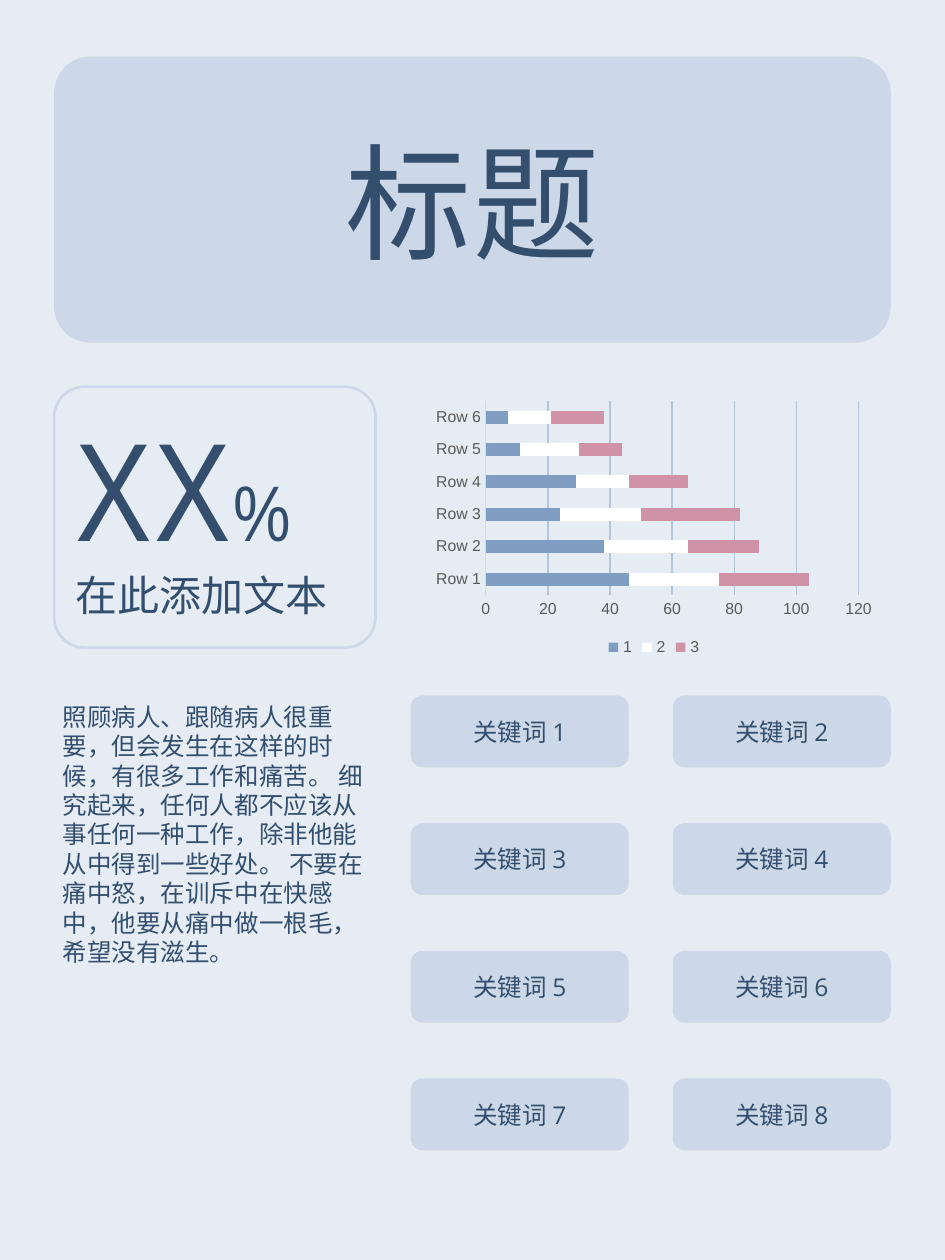
import pptx
import pptx.chart.data
from pptx.dml.color import RGBColor
from pptx.enum.chart import XL_CHART_TYPE, XL_LEGEND_POSITION, XL_TICK_MARK
from pptx.enum.shapes import MSO_SHAPE
from pptx.enum.text import MSO_ANCHOR, MSO_AUTO_SIZE, PP_ALIGN
from pptx.util import Inches, Pt

INK, PANEL, GREY = "344E6D", "CCD8E7", "595959"
NARROW, SANS = "Arial Narrow", "Open Sans"

TITLE = "标题"
STAT = [("XX", 80), ("%", 45)]
STAT_LABEL = "在此添加文本"
BODY = ("照顾病人、跟随病人很重要，但会发生在这样的时候，有很多工作和痛苦。 "
        "细究起来，任何人都不应该从事任何一种工作，除非他能从中得到一些好处。 "
        "不要在痛中怒，在训斥中在快感中，他要从痛中做一根毛，希望没有滋生。")
KEYWORDS = [f"关键词 {n}" for n in range(1, 9)]
CATEGORIES = [f"Row {n}" for n in range(1, 7)]
SERIES = [
    ("1", (46, 38, 24, 29, 11, 7), "809EC2"),
    ("2", (29, 27, 26, 17, 19, 14), "FFFFFF"),
    ("3", (29, 23, 32, 19, 14, 17), "D092A7"),
]

TITLE_BOX = (0.43, 0.45, 6.64, 2.27)
STAT_BOX = (0.43, 3.07, 2.55, 2.07)
CHART_BOX = (3.39, 3.14, 3.6, 2.11)
BODY_BOX = (0.4, 5.52, 2.6, 3.6)
KEY_LEFT, KEY_TOP, KEY_W, KEY_H = 3.26, 5.52, 1.73, 0.57
KEY_DX, KEY_DY = 2.08, (8.56 - 5.52) / 3


def rgb(value):
    return RGBColor.from_string(value)


def box(at):
    return [Inches(v) for v in at]


def add_run(p, text, size, font, spacing=0):
    """Add a run; spacing is the extra width per letter in points."""
    r = p.add_run()
    r.text = text
    r.font.size = Pt(size)
    r.font.name = font
    r.font.color.rgb = rgb(INK)
    if spacing:
        r.font._element.set("spc", str(round(spacing * 100)))


def add_panel(s, at, radius, fill=None, line=None):
    sp = s.shapes.add_shape(MSO_SHAPE.ROUNDED_RECTANGLE, *box(at))
    sp.adjustments[0] = radius
    sp.shadow.inherit = False
    if fill:
        sp.fill.solid()
        sp.fill.fore_color.rgb = rgb(fill)
    else:
        sp.fill.background()
    if line:
        sp.line.color.rgb = rgb(line)
        sp.line.width = Pt(1.5)
    else:
        sp.line.fill.background()
    return sp


def add_title(s):
    panel = add_panel(s, TITLE_BOX, 0.126, fill=PANEL)
    title = s.shapes.title
    panel._element.addnext(title._element)
    title.left, title.top, title.width, title.height = box(TITLE_BOX)
    tf = title.text_frame
    tf.auto_size = MSO_AUTO_SIZE.NONE
    tf.vertical_anchor = MSO_ANCHOR.MIDDLE
    p = tf.paragraphs[0]
    p.alignment = PP_ALIGN.CENTER
    add_run(p, TITLE, 72, NARROW, 1.4)


def add_stat(s):
    tf = add_panel(s, STAT_BOX, 0.116, line=PANEL).text_frame
    tf.vertical_anchor = MSO_ANCHOR.TOP
    p = tf.paragraphs[0]
    p.alignment = PP_ALIGN.LEFT
    for text, size in STAT:
        add_run(p, text, size, NARROW, 1.4)
    p = tf.add_paragraph()
    p.alignment = PP_ALIGN.LEFT
    add_run(p, STAT_LABEL, 24, SANS)


def style_font(font, size, color):
    font.name = "Arial"
    font.size = Pt(size)
    font.color.rgb = rgb(color)


def add_stacked_chart(s):
    data = pptx.chart.data.CategoryChartData()
    data.categories = CATEGORIES
    for name, values, _ in SERIES:
        data.add_series(name, values)
    chart = s.shapes.add_chart(XL_CHART_TYPE.BAR_STACKED, *box(CHART_BOX), data).chart
    style_font(chart.font, 10, "000000")
    chart.has_title = False
    chart.has_legend = True
    chart.legend.position = XL_LEGEND_POSITION.BOTTOM
    chart.legend.include_in_layout = False
    style_font(chart.legend.font, 9, GREY)

    plot = chart.plots[0]
    plot.gap_width, plot.overlap = 150, 100
    plot.vary_by_categories = False
    for series, (_, _, color) in zip(plot.series, SERIES):
        series.format.fill.solid()
        series.format.fill.fore_color.rgb = rgb(color)

    cat, val = chart.category_axis, chart.value_axis
    for axis in (cat, val):
        axis.major_tick_mark = axis.minor_tick_mark = XL_TICK_MARK.NONE
        style_font(axis.tick_labels.font, 9, GREY)
    cat.has_major_gridlines = False
    val.has_major_gridlines = True
    val.minimum_scale, val.maximum_scale, val.major_unit = 0, 120, 20
    val.format.line.fill.background()
    for line, color in ((cat.format.line, "D9D9D9"),
                        (val.major_gridlines.format.line, "B3C5DA")):
        line.color.rgb = rgb(color)
        line.width = Pt(0.75)


def add_body(s):
    tf = s.shapes.add_textbox(*box(BODY_BOX)).text_frame
    tf.word_wrap = True
    p = tf.paragraphs[0]
    p._p.get_or_add_pPr().set("hangingPunct", "0")
    add_run(p, BODY, 14, SANS)


def add_keywords(s):
    for i, word in enumerate(KEYWORDS):
        row, col = divmod(i, 2)
        at = (KEY_LEFT + col * KEY_DX, KEY_TOP + row * KEY_DY, KEY_W, KEY_H)
        tf = add_panel(s, at, 0.167, fill=PANEL).text_frame
        tf.vertical_anchor = MSO_ANCHOR.MIDDLE
        p = tf.paragraphs[0]
        p.alignment = PP_ALIGN.CENTER
        add_run(p, word, 14, SANS)


def main():
    prs = pptx.Presentation()
    prs.slide_width, prs.slide_height = Inches(7.5), Inches(10)
    s = prs.slides.add_slide(prs.slide_layouts[5])
    s.background.fill.solid()
    s.background.fill.fore_color.rgb = rgb("E6ECF3")
    add_title(s)
    add_stat(s)
    add_stacked_chart(s)
    add_body(s)
    add_keywords(s)
    prs.save("out.pptx")


if __name__ == "__main__":
    main()
